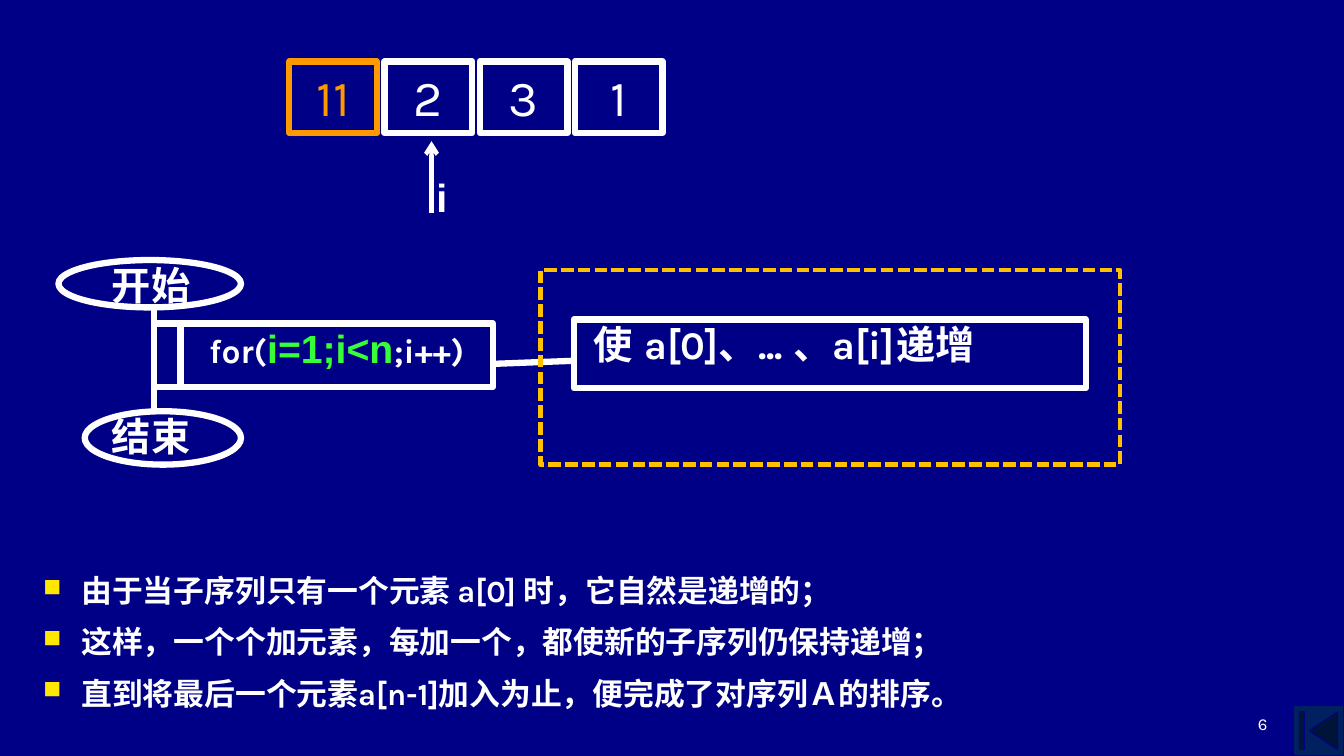
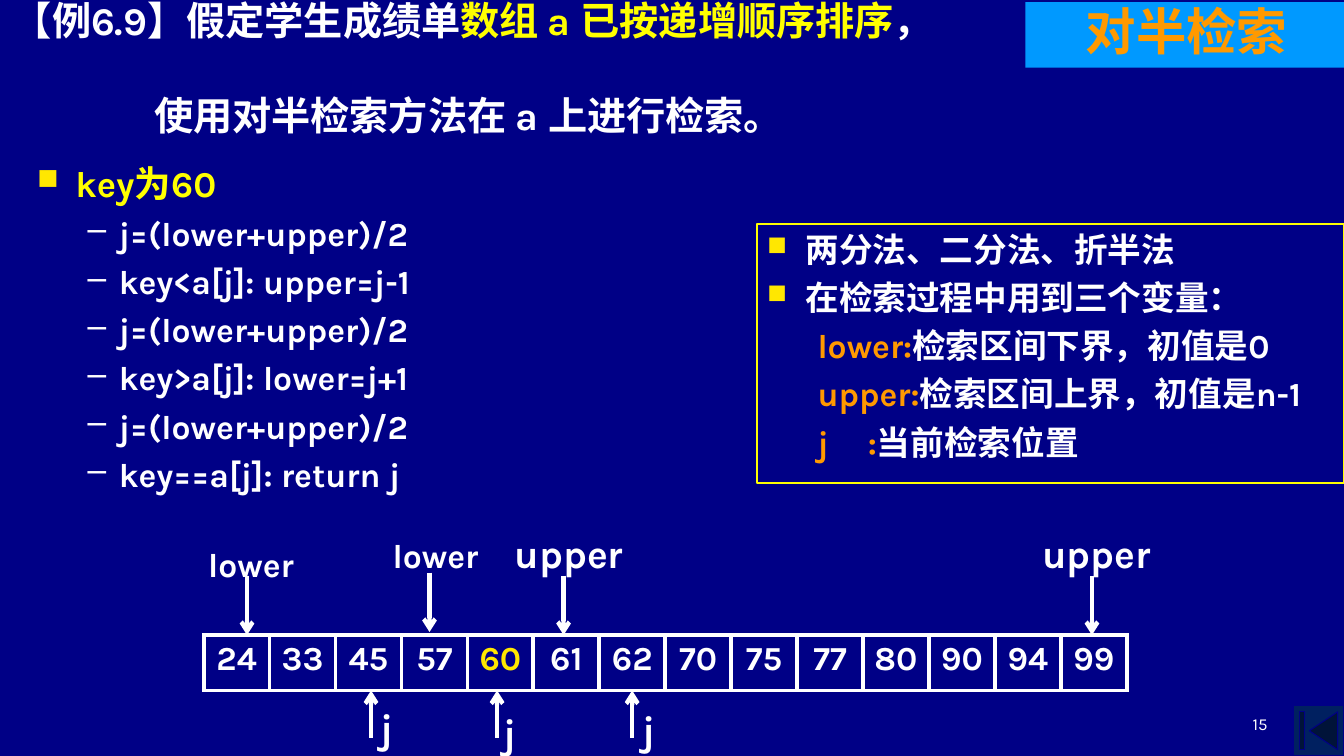
from typing import NamedTuple

from lxml import etree
from pptx import Presentation
from pptx.dml.color import RGBColor
from pptx.enum import dml, shapes, text
from pptx.oxml import ns
from pptx.util import Inches, Pt

NAVY = RGBColor(0x00, 0x00, 0x86)
BUTTON_BLUE = RGBColor(0x00, 0x20, 0x60)
TAG_BLUE = RGBColor(0x00, 0x99, 0xFF)
WHITE = RGBColor(0xFF, 0xFF, 0xFF)
ORANGE = RGBColor(0xFF, 0x99, 0x00)
GOLD = RGBColor(0xFF, 0xC0, 0x00)
YELLOW = RGBColor(0xFF, 0xFF, 0x00)
BULLET_YELLOW = RGBColor(0xFF, 0xE7, 0x01)
GREEN = RGBColor(0x37, 0xFF, 0x37)

SHAPE = shapes.MSO_SHAPE
ALIGN = text.PP_ALIGN
ANCHOR = text.MSO_ANCHOR


class Run(NamedTuple):
    text: str
    size: float
    color: RGBColor = WHITE
    bold: bool = True
    font: str = "Karla"


class Style(NamedTuple):
    left: float = 0
    first: float = 0
    before: float = 0
    spacing: float = 1
    align: ALIGN = ALIGN.LEFT
    bullet: str = ""
    bullet_color: RGBColor = WHITE
    bullet_percent: int = 100
    tabs: tuple = ()


PLAIN = Style()
CENTER = Style(align=ALIGN.CENTER)
INDENTED = Style(left=0.5, spacing=0.9)
SQUARE = Style(0.38, -0.38, 5.6, bullet="■", bullet_color=BULLET_YELLOW, bullet_percent=80)
WIDE_SQUARE = SQUARE._replace(before=5, spacing=1.2)
DASH = Style(0.81, -0.31, 5.6, bullet="–")
VARIABLE = Style(first=0.5, before=5.6, tabs=(1.37,))


def add_box(slide, place, paragraphs=(), kind=None, outline=None, weight=4.5,
            fill=None, inset=(0.1, 0.05), anchor=ANCHOR.TOP):
    """Add a text box, or a preset shape if kind is given; paragraphs are (Style, runs)."""
    place = [Inches(length) for length in place]
    if kind is None:
        shape = slide.shapes.add_textbox(*place)
    else:
        shape = slide.shapes.add_shape(kind, *place)
        shape.shadow.inherit = False
        if outline is None:
            shape.line.fill.background()
        else:
            shape.line.color.rgb = outline
            shape.line.width = Pt(weight)
        if fill is None:
            shape.fill.background()
        else:
            shape.fill.solid()
            shape.fill.fore_color.rgb = fill
    frame = shape.text_frame
    frame.word_wrap = True
    frame.vertical_anchor = anchor
    frame.margin_left = frame.margin_right = Inches(inset[0])
    frame.margin_top = frame.margin_bottom = Inches(inset[1])
    for index, (style, runs) in enumerate(paragraphs):
        paragraph = frame.add_paragraph() if index else frame.paragraphs[0]
        properties = paragraph._p.get_or_add_pPr()
        properties.set("marL", str(Inches(style.left)))
        properties.set("indent", str(Inches(style.first)))
        if style.bullet:
            color = etree.SubElement(properties, ns.qn("a:buClr"))
            etree.SubElement(color, ns.qn("a:srgbClr"), val=str(style.bullet_color))
            etree.SubElement(properties, ns.qn("a:buSzPct"), val=str(style.bullet_percent * 1000))
            etree.SubElement(properties, ns.qn("a:buChar"), char=style.bullet)
        if style.tabs:
            tab_list = etree.SubElement(properties, ns.qn("a:tabLst"))
            for stop in style.tabs:
                etree.SubElement(tab_list, ns.qn("a:tab"), pos=str(Inches(stop)), algn="l")
        paragraph.alignment = style.align
        paragraph.line_spacing = style.spacing
        if index:
            paragraph.space_before = Pt(style.before)
        for item in runs:
            run = paragraph.add_run()
            run.text = item.text
            run.font.size = Pt(item.size)
            run.font.bold = item.bold
            run.font.name = item.font
            run.font.color.rgb = item.color
    return shape


def add_line(slide, start, end, weight=3, arrow=True):
    line = slide.shapes.add_connector(
        shapes.MSO_CONNECTOR.STRAIGHT, *[Inches(length) for length in (*start, *end)])
    line.line.color.rgb = WHITE
    line.line.width = Pt(weight)
    if arrow:
        etree.SubElement(line.line._get_or_add_ln(), ns.qn("a:tailEnd"), type="arrow")
    etree.SubElement(line._element.spPr, ns.qn("a:effectLst"))


presentation = Presentation()
presentation.slide_width = Inches(13.33)
presentation.slide_height = Inches(7.5)
background = presentation.slide_master.background.fill
background.solid()
background.fore_color.rgb = NAVY

slides = []
for number in ("6", "15"):
    slide = presentation.slides.add_slide(presentation.slide_layouts[6])
    add_box(slide, (12.83, 7, 0.5, 0.5), kind=SHAPE.ACTION_BUTTON_BEGINNING,
            outline=NAVY, weight=0.75, fill=BUTTON_BLUE)
    add_box(slide, (9.56, 6.83, 3.11, 0.5),
            [(Style(align=ALIGN.RIGHT), [Run(number, 12, bold=False)])], anchor=ANCHOR.BOTTOM)
    slides.append(slide)
sort_slide, search_slide = slides

# Sorting: flow chart
TIGHT = (0.01, 0.01)
step_style = Style(tabs=(0.76, 3.0, 3.91))
add_box(sort_slide, (5.69, 3.17, 5.08, 0.68),
        [(step_style, [Run("使\ta[0]、... 、a[i]\t递增", 28)])],
        SHAPE.RECTANGLE, WHITE, inset=(0.2, 0.01))
for label, ellipse, top in (("开始", (0.58, 2.58, 1.81, 0.47), 2.58),
                            ("结束", (0.84, 4.08, 1.55, 0.53), 4.08)):
    add_box(sort_slide, ellipse, kind=SHAPE.OVAL, outline=WHITE)
    add_box(sort_slide, (1.1, top, 0.98, 0.43), [(PLAIN, [Run(label, 28)])], inset=TIGHT)
add_box(sort_slide, (1.53, 3.21, 0.26, 0.63), kind=SHAPE.RECTANGLE, outline=WHITE)
loop_runs = [Run("for(", 24), Run("i=1;i<n", 28, GREEN, font="Arial"), Run(";i++)", 24)]
add_box(sort_slide, (1.79, 3.21, 3.1, 0.63), [(CENTER, loop_runs)],
        SHAPE.RECTANGLE, WHITE, inset=TIGHT)
add_line(sort_slide, (4.89, 3.61), (5.67, 3.58), 4.5, arrow=False)
add_line(sort_slide, (1.53, 3.06), (1.53, 4.08), 4.5, arrow=False)
scope = add_box(sort_slide, (5.36, 2.68, 5.75, 1.93), kind=SHAPE.RECTANGLE,
                outline=GOLD, weight=3)
scope.line.dash_style = dml.MSO_LINE.SQUARE_DOT

# Sorting: explanation
reasons = (
    "由于当子序列只有一个元素 a[0] 时，它自然是递增的；",
    "这样，一个个加元素，每加一个，都使新的子序列仍保持递增；",
    "直到将最后一个元素a[n-1]加入为止，便完成了对序列Ａ的排序。",
)
add_box(sort_slide, (0.33, 5.55, 9.69, 1.78),
        [(WIDE_SQUARE, [Run(reason, 22)]) for reason in reasons])

# Sorting: array with its index
for index, value in enumerate(("11", "2", "3", "1")):
    color = WHITE if index else ORANGE
    add_box(sort_slide, (2.87 + 0.944 * index, 0.61, 0.87, 0.71),
            [(CENTER, [Run(value, 36, color, bold=False)])], SHAPE.RECTANGLE, color)
add_line(sort_slide, (4.28, 2.11), (4.28, 1.4))
add_box(sort_slide, (3.73, 1.72, 1.1, 0.52), [(INDENTED, [Run("i", 28, font="Arial")])])

# Searching: title and topic tag
add_box(search_slide, (0.03, 0.04, 9.6, 1.26), [
    (PLAIN, [Run("【例6.9】假定学生成绩单", 28),
             Run("数组 a 已按递增顺序排序", 28, YELLOW), Run("，", 28)]),
    (Style(left=1.4, before=34), [Run("使用对半检索方法在 a 上进行检索。", 28)]),
], anchor=ANCHOR.MIDDLE)
add_box(search_slide, (10.17, 0.02, 3.17, 0.65),
        [(INDENTED, [Run("对半检索", 36, ORANGE, font="Arial")])],
        SHAPE.RECTANGLE, fill=TAG_BLUE)

# Searching: trace and variables
halving = "j=(lower+upper)/2"
trace = (halving, "key<a[j]: upper=j-1", halving, "key>a[j]: lower=j+1",
         halving, "key==a[j]: return j")
add_box(search_slide, (0.27, 1.55, 6.84, 3.62),
        [(SQUARE, [Run("key为60", 26, YELLOW)])] + [(DASH, [Run(step, 24)]) for step in trace])
variables = (("lower:", "检索区间下界，初值是0"),
             ("upper:", "检索区间上界，初值是n-1"),
             ("j\t:", "当前检索位置"))
add_box(search_slide, (7.51, 2.22, 5.82, 2.57),
        [(SQUARE, [Run(line, 24)])
         for line in ("两分法、二分法、折半法", "在检索过程中用到三个变量：")]
        + [(VARIABLE, [Run(name, 24, ORANGE), Run(meaning, 24)]) for name, meaning in variables],
        SHAPE.RECTANGLE, YELLOW, 1.75)

# Searching: sorted array
scores = (24, 33, 45, 57, 60, 61, 62, 70, 75, 77, 80, 90, 94, 99)
table_frame = search_slide.shapes.add_table(
    1, len(scores), Inches(2.02), Inches(6.3), Inches(9.16), Inches(0.55))
table = table_frame.table
table.first_row = table.horz_banding = False
for cell, score in zip(table.rows[0].cells, scores):
    paragraph = cell.text_frame.paragraphs[0]
    paragraph.alignment = ALIGN.CENTER
    run = paragraph.add_run()
    run.text = str(score)
    run.font.size = Pt(24)
    run.font.bold = True
    run.font.name = "Karla"
    run.font.color.rgb = BULLET_YELLOW if score == 60 else WHITE
    properties = cell._tc.get_or_add_tcPr()
    for side in ("a:lnL", "a:lnR", "a:lnT", "a:lnB"):
        border = etree.SubElement(properties, ns.qn(side), w=str(Pt(3)))
        solid = etree.SubElement(border, ns.qn("a:solidFill"))
        etree.SubElement(solid, ns.qn("a:srgbClr"), val=str(WHITE))
    cell.fill.background()

# Searching: pointers, each with its label place, size and arrow
pointers = (
    ("lower", (1.86, 5.35, 1.26, 0.5), 24, (2.45, 5.71), (2.45, 6.3)),
    ("lower", (3.69, 5.26, 1.26, 0.5), 24, (4.26, 5.68), (4.26, 6.27)),
    ("upper", (4.86, 5.2, 1.57, 0.57), 28, (5.59, 5.71), (5.59, 6.3)),
    ("upper", (10.09, 5.2, 1.57, 0.57), 28, (10.83, 5.71), (10.83, 6.3)),
    ("j", (3.4, 6.93, 0.87, 0.57), 28, (3.68, 7.32), (3.68, 6.85)),
    ("j", (4.62, 6.98, 0.87, 0.57), 28, (4.93, 7.32), (4.93, 6.85)),
    ("j", (6, 6.95, 0.87, 0.57), 28, (6.27, 7.32), (6.27, 6.85)),
)
for label, place, size, start, end in pointers:
    add_line(search_slide, start, end)
    add_box(search_slide, place, [(CENTER, [Run(label, size)])])

presentation.save("out.pptx")
